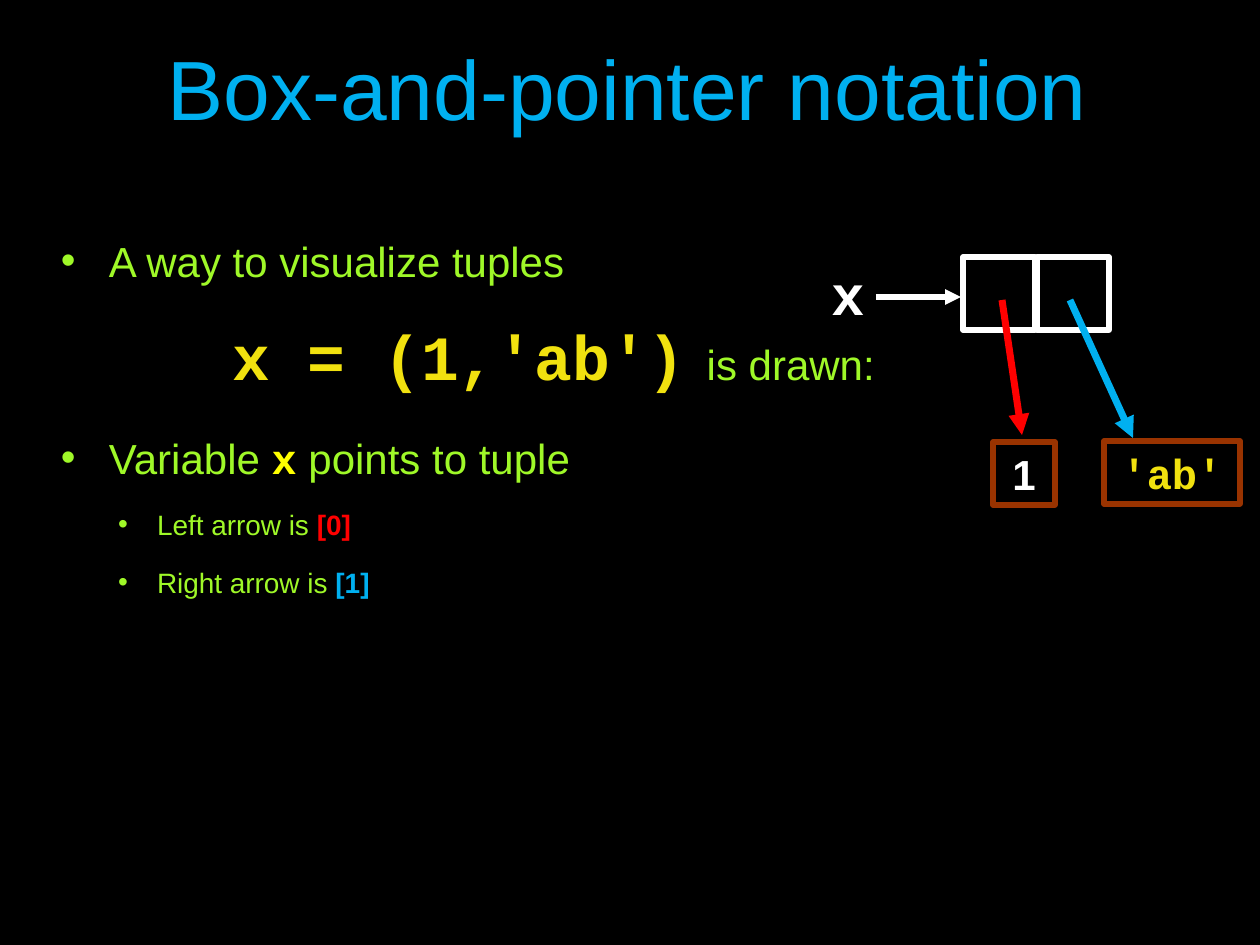
from collections import namedtuple
from pptx import Presentation
from pptx.dml.color import RGBColor
from pptx.enum.shapes import MSO_CONNECTOR as Connector, MSO_SHAPE as Shape
from pptx.enum.text import MSO_ANCHOR as Anchor, PP_ALIGN as Align
from pptx.oxml.ns import qn
from pptx.util import Emu, Pt
from lxml.etree import SubElement

COLORS = {
    "black": "000000",
    "white": "FFFFFF",
    "blue": "00B0F0",
    "green": "9FF828",
    "gold": "F1E10F",
    "yellow": "FFFF00",
    "red": "FF0000",
    "brown": "993300",
}
SANS, MONO = "Arial", "Courier New"
Region = namedtuple("Region", "left top width height")


def px(count):
    return Emu(round(count * 914400 / 126))


def color(name):
    return RGBColor.from_string(COLORS[name])


def add_span(para, text, size, ink, face=SANS, bold=False):
    span = para.add_run()
    span.text = text
    span.font.size = Pt(size)
    span.font.name = face
    span.font.bold = bold
    span.font.color.rgb = color(ink)


def add_text_box(page, region, insets, anchor=Anchor.TOP, wrap=True):
    box = page.shapes.add_textbox(*map(px, region))
    frame = box.text_frame
    frame.word_wrap = wrap
    frame.vertical_anchor = anchor
    frame.margin_left, frame.margin_top, frame.margin_right, frame.margin_bottom = map(px, insets)
    return frame


def set_indent(para, left, hanging=0, bullet=False):
    props = para._p.get_or_add_pPr()
    props.set("marL", str(px(left)))
    props.set("indent", str(px(-hanging)))
    if bullet:
        ink = SubElement(props, qn("a:buClr"))
        SubElement(ink, qn("a:srgbClr"), val=COLORS["green"])
        SubElement(props, qn("a:buFont"), typeface=SANS)
        SubElement(props, qn("a:buChar"), char="•")


def add_title(page, region):
    frame = add_text_box(page, region, (8, 8, 13, 8), Anchor.MIDDLE)
    para = frame.paragraphs[0]
    para.alignment = Align.CENTER
    add_span(para, "Box-and-pointer notation", 48, "blue")


def add_body(page, region):
    frame = add_text_box(page, region, (8, 8, 13, 8))
    top, code, sub = (53, 48, True), (176, 0, False), (101, 39, True)
    rows = [
        (0, top, 0, [("A way to visualize tuples", 24, "green")]),
        (0, code, 27, [
            ("x = (1,'ab')", 36, "gold", MONO, True),
            (" ", 20, "gold", MONO, True),
            ("is drawn:", 24, "green"),
        ]),
        (0, top, 28, [
            ("Variable ", 24, "green"),
            ("x", 24, "yellow", MONO, True),
            (" points to tuple", 24, "green"),
        ]),
        (1, sub, 18, [("Left arrow is ", 16, "green"), ("[0]", 16, "red", SANS, True)]),
        (1, sub, 18, [("Right arrow is ", 16, "green"), ("[1]", 16, "blue", SANS, True)]),
    ]
    for index, (level, indent, before, spans) in enumerate(rows):
        para = frame.add_paragraph() if index else frame.paragraphs[0]
        para.level = level
        set_indent(para, *indent)
        para.line_spacing = 0.8
        para.space_before = Pt(before)
        for span in spans:
            add_span(para, *span)


def add_cell(page, region, ink):
    cell = page.shapes.add_shape(Shape.RECTANGLE, *map(px, region))
    cell.shadow.inherit = False
    cell.fill.background()
    cell.line.color.rgb = color(ink)
    cell.line.width = Pt(3)
    return cell


def add_value(page, region, text, ink, face):
    frame = add_cell(page, region, "brown").text_frame
    frame.word_wrap = False
    frame.vertical_anchor = Anchor.MIDDLE
    para = frame.paragraphs[0]
    para.alignment = Align.CENTER
    add_span(para, text, 24, ink, face, True)


def add_arrow(page, start, end, ink, weight):
    arrow = page.shapes.add_connector(Connector.STRAIGHT, *map(px, start + end))
    arrow.line.color.rgb = color(ink)
    arrow.line.width = Pt(weight)
    SubElement(arrow.line._get_or_add_ln(), qn("a:tailEnd"), type="triangle")
    SubElement(arrow._element.spPr, qn("a:effectLst"))


def add_diagram(page, region):
    def place(left, top, width, height):
        return Region(region.left + left, region.top + top, width, height)

    def point(x, y):
        return region.left + x, region.top + y

    for column in range(2):
        add_cell(page, place(144 + 74 * column, 4, 72, 73), "white")

    label = add_text_box(page, place(0, 0, 59, 79), (13, 6, 13, 6), wrap=False)
    para = label.paragraphs[0]
    para.alignment = Align.CENTER
    add_span(para, "x", 32, "white", MONO, True)

    add_value(page, place(174, 189, 62, 63), "1", "white", SANS)
    add_value(page, place(285, 188, 136, 63), "'ab'", "gold", MONO)

    add_arrow(page, point(57, 44), point(142, 44), "white", 3)
    add_arrow(page, point(183, 47), point(203, 182), "red", 4)
    add_arrow(page, point(251, 47), point(314, 185), "blue", 4)


def main():
    deck = Presentation()
    deck.slide_width, deck.slide_height = px(1260), px(945)
    page = deck.slides.add_slide(deck.slide_layouts[6])
    page.background.fill.solid()
    page.background.fill.fore_color.rgb = color("black")
    add_title(page, Region(63, 9, 1134, 156))
    add_body(page, Region(48, 237, 1138, 658))
    add_diagram(page, Region(819, 253, 421, 252))
    deck.save("out.pptx")


if __name__ == "__main__":
    main()
